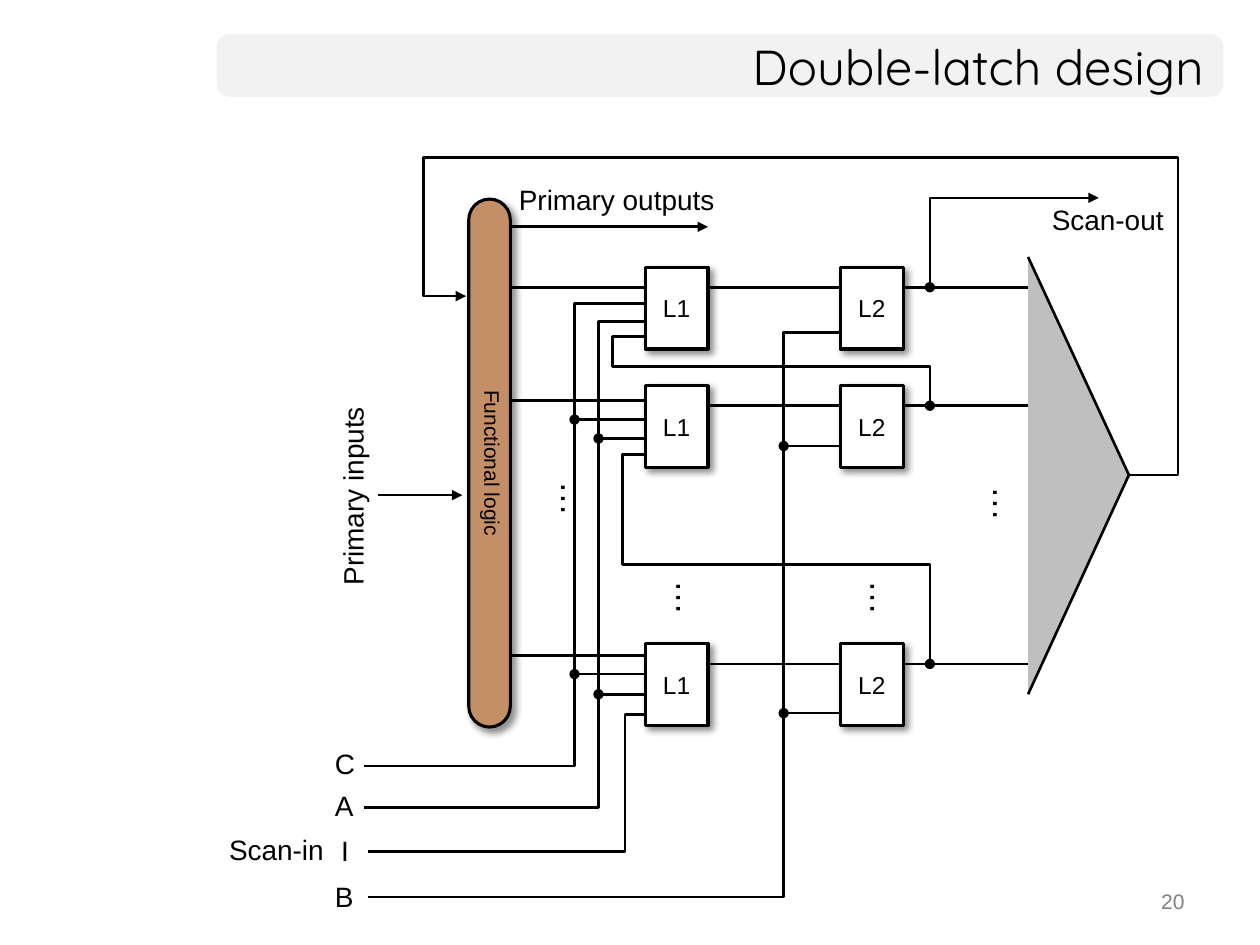
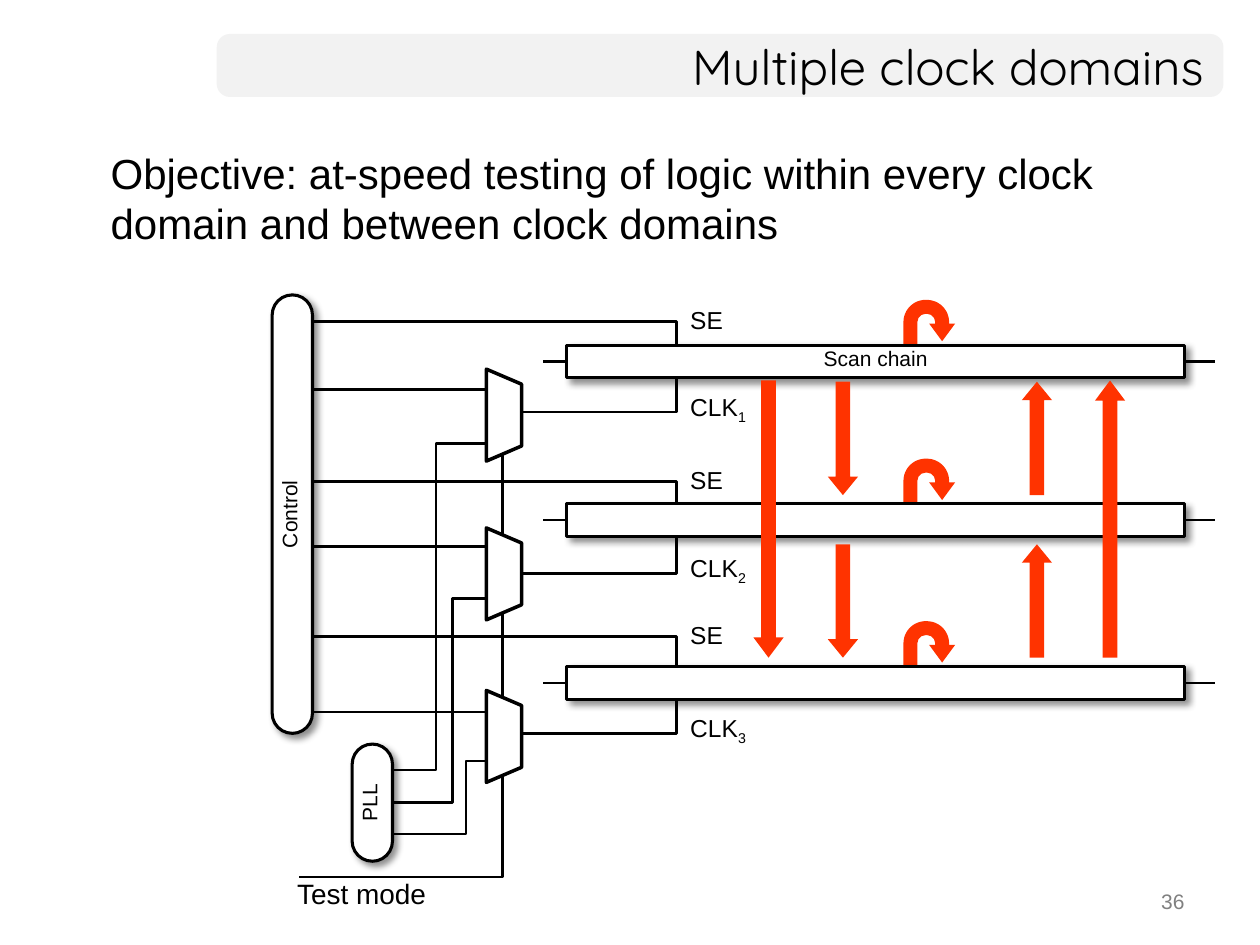
from dataclasses import dataclass

import pptx
import pptx.dml.color
import pptx.enum.shapes
import pptx.enum.text
import pptx.oxml
import pptx.oxml.ns
import pptx.util
from pptx.util import Inches

SHAPE = pptx.enum.shapes.MSO_SHAPE
ALIGN = pptx.enum.text.PP_ALIGN
ANCHOR = pptx.enum.text.MSO_ANCHOR
qn = pptx.oxml.ns.qn

BLACK, WHITE = "000000", "FFFFFF"
BAND, PAGE_GRAY = "F2F2F2", "808080"
LOGIC_BROWN, FUNNEL_GRAY, ARROW_RED = "C48E66", "BFBFBF", "FF3300"
BODY_FONT, TITLE_FONT = "Arial", "Quicksand"
WIRE_WIDTH = 1.5

Point = tuple[float, float]
Box = tuple[float, float, float, float]


@dataclass
class Label:
    text: str
    box: Box
    size: float = 16
    rotation: float = 0
    subscript: str = ""


@dataclass
class Wire:
    points: list[Point]
    head: str = ""
    tail: str = ""
    width: float = WIRE_WIDTH


@dataclass
class LatchRow:
    """Heights of one latch pair and of the wires that reach it."""
    top: float
    logic: float
    c: float
    a: float
    b: float

    @property
    def output(self) -> float:
        return self.top + 0.16


@dataclass
class ClockDomain:
    """Heights of one scan chain's wires, and the bend of its PLL wire."""
    chain: float
    se: float
    control: float
    clk: float
    mux_pll: float
    pll: float
    pll_x: float


@dataclass
class BlockArrow:
    shape: pptx.enum.shapes.MSO_SHAPE
    x: float
    y: float
    height: float
    shaft: float
    head: float


LATCH_ROWS = [
    LatchRow(2.12, 2.28, 2.41, 2.55, 2.64),
    LatchRow(3.06, 3.18, 3.33, 3.48, 3.54),
    LatchRow(5.11, 5.2, 5.35, 5.51, 5.66),
]
DOMAINS = [
    ClockDomain(2.74, 2.55, 3.09, 3.27, 3.52, 6.11, 3.46),
    ClockDomain(4, 3.82, 4.34, 4.55, 4.75, 6.37, 3.59),
    ClockDomain(5.29, 5.05, 5.65, 5.82, 6.04, 6.62, 3.7),
]


def rgb(color: str) -> pptx.dml.color.RGBColor:
    return pptx.dml.color.RGBColor.from_string(color)


def style_font(r, size: float, color: str = BLACK, name: str = BODY_FONT) -> None:
    r.font.size = pptx.util.Pt(size)
    r.font.name = name
    r.font.color.rgb = rgb(color)


def style_line(sp, width: float) -> None:
    sp.line.color.rgb = rgb(BLACK)
    sp.line.width = pptx.util.Pt(width)


def add_text(s, text: str, box: Box, size: float, color: str = BLACK,
             font: str = BODY_FONT, align=ALIGN.LEFT, anchor=ANCHOR.TOP,
             wrap: bool = True):
    sp = s.shapes.add_textbox(*map(Inches, box))
    tf = sp.text_frame
    tf.word_wrap = wrap
    tf.vertical_anchor = anchor
    p = tf.paragraphs[0]
    p.text = text
    p.alignment = align
    style_font(p.runs[0], size, color, font)
    return sp


def add_label(s, label: Label) -> None:
    sp = add_text(s, label.text, label.box, label.size, wrap=False)
    sp.rotation = label.rotation
    if label.subscript:
        r = sp.text_frame.paragraphs[0].add_run()
        r.text = label.subscript
        style_font(r, label.size)
        r.font._element.set("baseline", "-25000")


def add_solid(s, shape, box: Box, fill: str, adjustments: tuple[float, ...] = ()):
    sp = s.shapes.add_shape(shape, *map(Inches, box))
    sp.shadow.inherit = False
    sp.fill.solid()
    sp.fill.fore_color.rgb = rgb(fill)
    sp.line.fill.background()
    for i, value in enumerate(adjustments):
        sp.adjustments[i] = value
    return sp


def add_block(s, box: Box, text: str = "", size: float = 12, fill: str = WHITE,
              rotation: float = 0, bottom_inset: float = 0.1) -> None:
    """Outlined block with a drop shadow; a rotated one has round ends."""
    shape, adjustments = (SHAPE.ROUNDED_RECTANGLE, (0.5,)) if rotation else (SHAPE.RECTANGLE, ())
    sp = add_solid(s, shape, box, fill, adjustments)
    style_line(sp, 1.75)
    sp.rotation = rotation
    sp._element.spPr.find(qn("a:effectLst")).append(pptx.oxml.parse_xml(
        '<a:outerShdw xmlns:a="http://schemas.openxmlformats.org/drawingml/2006/main" '
        'blurRad="50800" dist="38100" dir="2700000" algn="tl" rotWithShape="0">'
        '<a:srgbClr val="000000"><a:alpha val="43000"/></a:srgbClr></a:outerShdw>'))
    if text:
        tf = sp.text_frame
        tf.margin_bottom = Inches(bottom_inset)
        tf.vertical_anchor = ANCHOR.MIDDLE
        p = tf.paragraphs[0]
        p.text = text
        p.alignment = ALIGN.CENTER
        style_font(p.runs[0], size)


def add_outline(s, points: list[Point], width: float = WIRE_WIDTH,
                fill: str = "", close: bool = False):
    (x, y), *rest = [(Inches(px), Inches(py)) for px, py in points]
    builder = s.shapes.build_freeform(x, y)
    builder.add_line_segments(rest, close=close)
    sp = builder.convert_to_shape()
    sp.shadow.inherit = False
    if fill:
        sp.fill.solid()
        sp.fill.fore_color.rgb = rgb(fill)
    else:
        sp.fill.background()
    style_line(sp, width)
    return sp


def add_wire(s, wire: Wire) -> None:
    if len(wire.points) == 2:
        ends = [Inches(v) for point in wire.points for v in point]
        sp = s.shapes.add_connector(pptx.enum.shapes.MSO_CONNECTOR.STRAIGHT, *ends)
        style_line(sp, wire.width)
        sp._element.spPr.append(pptx.oxml.parse_xml(
            '<a:effectLst xmlns:a="http://schemas.openxmlformats.org/drawingml/2006/main"/>'))
    else:
        sp = add_outline(s, wire.points, wire.width)
    ln = sp._element.spPr.find(qn("a:ln"))
    for tag, kind in (("a:headEnd", wire.head), ("a:tailEnd", wire.tail)):
        if kind:
            end = pptx.oxml.parse_xml(
                f'<{tag} xmlns:a="http://schemas.openxmlformats.org/drawingml/2006/main" type="{kind}"/>')
            ln.append(end)


def add_slide(prs, title: str, page: int):
    s = prs.slides.add_slide(prs.slide_layouts[6])
    add_solid(s, SHAPE.ROUNDED_RECTANGLE, (1.72, 0.27, 7.99, 0.5), BAND, (0.21,))
    add_text(s, str(page), (7.17, 7, 2.33, 0.35), 12, PAGE_GRAY, align=ALIGN.RIGHT)
    add_text(s, title, (1.72, 0.27, 7.93, 0.5), 28, font=TITLE_FONT,
             align=ALIGN.RIGHT, anchor=ANCHOR.MIDDLE)
    return s


def build_double_latch(prs) -> None:
    s = add_slide(prs, "Double-latch design", 20)
    first, second, last = LATCH_ROWS
    tap_x, c_x, a_x, b_x = 7.38, 4.56, 4.75, 6.22

    feedback = [(8.88, 3.77), (9.35, 3.77), (9.35, 1.25), (3.36, 1.25), (3.36, 2.35), (3.7, 2.35)]
    wires = [
        Wire(feedback, tail="triangle"),
        Wire([(2.92, 7.12), (b_x, 7.12), (b_x, first.b), (6.99, first.b)]),
        Wire([(2.92, 6.76), (4.96, 6.76), (4.96, 5.67), (5.34, 5.67)]),
        Wire([(2.89, 6.41), (a_x, 6.41), (a_x, first.a), (5.42, first.a)]),
        Wire([(2.89, 6.08), (c_x, 6.08), (c_x, first.c), (5.34, first.c)]),
        Wire([(tap_x, first.output), (tap_x, 1.57), (8.72, 1.57)], "oval", "triangle"),
        Wire([(4.05, 1.8), (5.62, 1.8)], tail="triangle"),
        Wire([(3, 3.93), (3.67, 3.93)], tail="triangle"),
    ]
    for source, x, start, bend in ((second, 4.86, 2.67, 2.91), (last, 4.94, 3.61, 4.48)):
        wires.append(Wire([(5.26, start), (x, start), (x, bend), (tap_x, bend),
                           (tap_x, source.output)], tail="oval"))
    for row in LATCH_ROWS:
        wires.append(Wire([(4.04, row.logic), (5.14, row.logic)]))
        wires.append(Wire([(5.49, row.output), (8.17, row.output)]))
    for row in (second, last):
        for x, y in ((c_x, row.c), (a_x, row.a), (b_x, row.b)):
            wires.append(Wire([(x, y), (x + 0.71, y)], head="oval"))
    for wire in wires:
        add_wire(s, wire)
    add_outline(s, [(8.16, 5.51), (8.96, 3.77), (8.16, 2.04)], fill=FUNNEL_GRAY)

    labels = [
        Label("C", (2.56, 5.88, 0.36, 0.37)),
        Label("A", (2.56, 6.21, 0.34, 0.37)),
        Label("I", (2.61, 6.57, 0.26, 0.37)),
        Label("B", (2.56, 6.93, 0.36, 0.37)),
        Label("Scan-in", (1.72, 6.56, 0.96, 0.37)),
        Label("Scan-out", (8.25, 1.56, 1.1, 0.37)),
        Label("Primary inputs", (1.98, 3.74, 1.64, 0.37), rotation=270),
        Label("Primary outputs", (4.02, 1.4, 1.77, 0.37)),
    ]
    for x, y, rotation in ((6.78, 4.53, 90), (7.56, 3.78, 270), (4.13, 3.74, 270), (5.24, 4.53, 90)):
        labels.append(Label("…", (x, y, 0.48, 0.43), 20, rotation))
    for label in labels:
        add_label(s, label)

    for name, x in (("L1", 5.12), ("L2", 6.67)):
        for row in LATCH_ROWS:
            add_block(s, (x, row.top, 0.5, 0.65), name, 14, bottom_inset=0.05)
    add_block(s, (1.79, 3.51, 4.19, 0.33), "Functional logic", fill=LOGIC_BROWN, rotation=90)


def build_clock_domains(prs) -> None:
    s = add_slide(prs, "Multiple clock domains", 36)
    add_text(s, "Objective: at-speed testing of logic within every clock domain "
             "and between clock domains", (0.78, 1.12, 8.87, 1.03), 24)

    join_x = 5.37
    add_wire(s, Wire([(3.99, 3.58), (3.99, 6.96), (2.37, 6.96)]))
    for d in DOMAINS:
        add_solid(s, SHAPE.U_TURN_ARROW, (7.17, d.chain - 0.36, 0.41, 0.49), ARROW_RED,
                  (0.27, 0.28, 0.34, 0.43, 0.67))
        middle = d.chain + 0.13
        for wire in (
            Wire([(4.31, middle), (9.64, middle)], width=1.25),
            Wire([(2.4, d.se), (join_x, d.se), (join_x, middle)]),
            Wire([(2.4, d.control), (4, d.control)]),
            Wire([(3.97, d.clk), (join_x, d.clk), (join_x, middle)]),
            Wire([(4.01, d.mux_pll), (d.pll_x, d.mux_pll), (d.pll_x, d.pll), (2.9, d.pll)]),
        ):
            add_wire(s, wire)

    for number, d in enumerate(DOMAINS, 1):
        top = d.chain + 0.19
        add_outline(s, [(3.86, top + 0.73), (4.14, top + 0.61), (4.14, top + 0.12), (3.86, top)],
                    2, WHITE, close=True)
        add_label(s, Label("SE", (5.38, d.se - 0.18, 0.46, 0.33), 14))
        add_label(s, Label("CLK", (5.38, d.clk - 0.21, 0.66, 0.34), 14, subscript=str(number)))
        add_block(s, (4.5, d.chain, 4.9, 0.26), "Scan chain" if number == 1 else "")
    add_label(s, Label("Test mode", (2.26, 6.91, 1.24, 0.37)))

    arrows = [BlockArrow(shape, x, y, 0.9, 0.48, 0.61)
              for shape, x in ((SHAPE.UP_ARROW, 8.11), (SHAPE.DOWN_ARROW, 6.57))
              for y in (3.03, 4.32)]
    arrows += [BlockArrow(shape, x, 3.02, 2.2, 0.49, 0.67)
               for shape, x in ((SHAPE.UP_ARROW, 8.69), (SHAPE.DOWN_ARROW, 5.98))]
    for arrow in arrows:
        add_solid(s, arrow.shape, (arrow.x, arrow.y, 0.24, arrow.height), ARROW_RED,
                  (arrow.shaft, arrow.head))

    add_block(s, (0.58, 3.92, 3.48, 0.32), "Control", rotation=270)
    add_block(s, (2.49, 6.21, 0.93, 0.32), "PLL", rotation=270)


def main() -> None:
    prs = pptx.Presentation()
    prs.slide_width, prs.slide_height = Inches(10), Inches(7.5)
    build_double_latch(prs)
    build_clock_domains(prs)
    prs.save("out.pptx")


if __name__ == "__main__":
    main()
